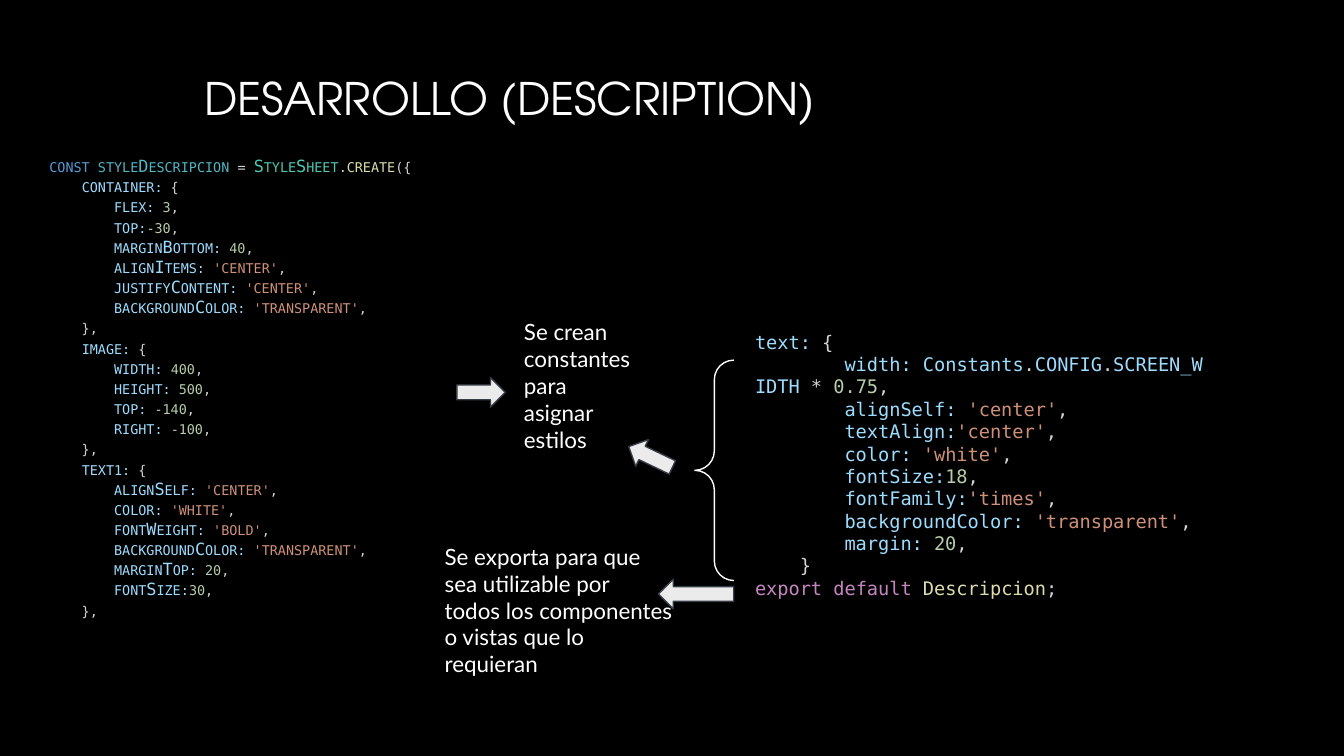
from pptx import Presentation
from pptx.dml.color import RGBColor
from pptx.enum.shapes import MSO_SHAPE as Preset
from pptx.enum.text import MSO_ANCHOR as Anchor
from pptx.oxml.ns import qn
from pptx.util import Inches, Pt

BLACK = RGBColor(0x00, 0x00, 0x00)
WHITE = RGBColor(0xFF, 0xFF, 0xFF)
ARROW_FILL = RGBColor(0xEB, 0xEB, 0xEB)
ARROW_LINE = RGBColor(0x36, 0x3D, 0x46)
PLAIN = RGBColor(0xD4, 0xD4, 0xD4)
KEYWORD = RGBColor(0x56, 0x9C, 0xD6)
CONSTANT = RGBColor(0x51, 0xB6, 0xC4)
CLASS = RGBColor(0x4E, 0xC9, 0xB0)
FUNCTION = RGBColor(0xDC, 0xDC, 0xAA)
PROPERTY = RGBColor(0x9C, 0xDC, 0xFE)
NUMBER = RGBColor(0xB5, 0xCE, 0xA8)
STRING = RGBColor(0xCE, 0x91, 0x78)
EXPORT = RGBColor(0xC5, 0x86, 0xC0)

TITLE_FONT = "TeX Gyre Adventor"
CODE_FONT = "DejaVu Sans Mono"
NOTE_FONT = "Lato"
HARD_SPACE = chr(160)
LINE_BREAK = ("\n", PLAIN)


def indent(depth):
    return ("    " * depth, PLAIN)


def entry(name, value):
    color = STRING if value.startswith("'") else NUMBER
    sign = [("-", PLAIN)] if value.startswith("-") else []
    return [indent(2), (name, PROPERTY), *sign, (value.lstrip("-"), color), (",", PLAIN)]


def block(name, entries):
    opening = [indent(1), (name, PROPERTY), (" {", PLAIN)]
    return [opening, *(entry(*pair) for pair in entries), [("    },", PLAIN)]]


STYLE_CODE = [
    [("const ", KEYWORD), ("styleDescripcion", CONSTANT), (" = ", PLAIN),
     ("StyleSheet", CLASS), (".", PLAIN), ("create", FUNCTION), ("({", PLAIN)],
    *block("container:", [
        ("flex: ", "3"),
        ("top:", "-30"),
        ("marginBottom: ", "40"),
        ("alignItems: ", "'center'"),
        ("justifyContent: ", "'center'"),
        ("backgroundColor: ", "'transparent'"),
    ]),
    *block("image:", [
        ("width: ", "400"),
        ("height: ", "500"),
        ("top: ", "-140"),
        ("right: ", "-100"),
    ]),
    *block("text1:", [
        ("alignSelf: ", "'center'"),
        ("color: ", "'white'"),
        ("fontWeight: ", "'bold'"),
        ("backgroundColor: ", "'transparent'"),
        ("marginTop: ", "20"),
        ("fontSize:", "30"),
    ]),
]

TEXT_CODE = [
    [("text:", PROPERTY), (" {", PLAIN)],
    [indent(2), ("width: Constants", PROPERTY), (".", PLAIN), ("CONFIG", PROPERTY),
     (".", PLAIN), ("SCREEN_WIDTH", PROPERTY), (" * ", PLAIN), ("0.75", NUMBER),
     (",", PLAIN)],
    *(entry(*pair) for pair in [
        ("alignSelf: ", "'center'"),
        ("textAlign:", "'center'"),
        ("color: ", "'white'"),
        ("fontSize:", "18"),
        ("fontFamily:", "'times'"),
        ("backgroundColor: ", "'transparent'"),
        ("margin: ", "20"),
    ]),
    [("    }", PLAIN), LINE_BREAK, ("export default ", EXPORT),
     ("Descripcion", FUNCTION), (";", PLAIN)],
]


def add_box(page, place, inset=0.1):
    frame = page.shapes.add_textbox(*map(Inches, place)).text_frame
    frame.word_wrap = True
    frame.vertical_anchor = Anchor.TOP
    frame.margin_left = frame.margin_right = Inches(0.1)
    frame.margin_top = frame.margin_bottom = Inches(inset)
    return frame


def add_span(para, text, font, size, color):
    span = para.add_run()
    span.text = text
    span.font.name = font
    span.font.size = Pt(size)
    span.font.color.rgb = color
    return span


def add_text(page, place, text, font, size):
    frame = add_box(page, place)
    add_span(frame.paragraphs[0], text, font, size, WHITE)


def add_code(page, place, lines, size, pitch, inset=0.1, small_caps=False):
    frame = add_box(page, place, inset)
    for number, line in enumerate(lines):
        para = frame.add_paragraph() if number else frame.paragraphs[0]
        para.line_spacing = Pt(pitch)
        properties = para._p.get_or_add_pPr()
        properties.set("marL", str(Inches(0.16)))
        properties.set("indent", "0")
        for text, color in line:
            if text == "\n":
                para.add_line_break()
                continue
            text = text.replace(" ", HARD_SPACE)
            span = add_span(para, text, CODE_FONT, size, color)
            if small_caps:
                span._r.get_or_add_rPr().set("cap", "small")


def add_preset(page, preset, place, line, fill=None, flip=False, rotation=0):
    shape = page.shapes.add_shape(preset, *map(Inches, place))
    shape.shadow.inherit = False
    shape.adjustments[0] = shape.adjustments[1] = 0.5
    shape.rotation = rotation
    shape.line.color.rgb = line
    shape.line.width = Pt(0.75)
    if fill is None:
        shape.fill.background()
    else:
        shape.fill.solid()
        shape.fill.fore_color.rgb = fill
    if flip:
        shape._element.spPr.find(qn("a:xfrm")).set("flipH", "1")


def add_arrow(page, place, **turn):
    add_preset(page, Preset.RIGHT_ARROW, place, ARROW_LINE, ARROW_FILL, **turn)


def main():
    deck = Presentation()
    deck.slide_width = Inches(10)
    deck.slide_height = deck.slide_width * 9 // 16
    page = deck.slides.add_slide(deck.slide_layouts[6])
    page.background.fill.solid()
    page.background.fill.fore_color.rgb = BLACK

    add_text(page, (1.42, 0.43, 7.7, 1), "DESARROLLO (DESCRIPTION)", TITLE_FONT, 24)
    add_code(page, (0.11, 1.06, 5.76, 4.41), STYLE_CODE, 9, 10.8, small_caps=True)
    add_preset(page, Preset.RIGHT_BRACE, (5.17, 2.68, 0.29, 1.64), WHITE, flip=True)
    add_code(page, (5.36, 2.41, 3.76, 2.12), TEXT_CODE, 10, 12, inset=0.05)
    add_arrow(page, (3.4, 2.81, 0.36, 0.22))
    add_text(page, (3.21, 3.94, 1.91, 1.18),
             "Se exporta para que sea utilizable por  todos los componentes "
             "o vistas que lo requieran", NOTE_FONT, 12)
    add_arrow(page, (4.9, 4.31, 0.56, 0.22), flip=True)
    add_text(page, (3.8, 2.27, 1.01, 1.12),
             "Se crean constantes para asignar estilos", NOTE_FONT, 12)
    add_arrow(page, (4.66, 3.29, 0.36, 0.22), rotation=205.6)
    deck.save("out.pptx")


if __name__ == "__main__":
    main()
